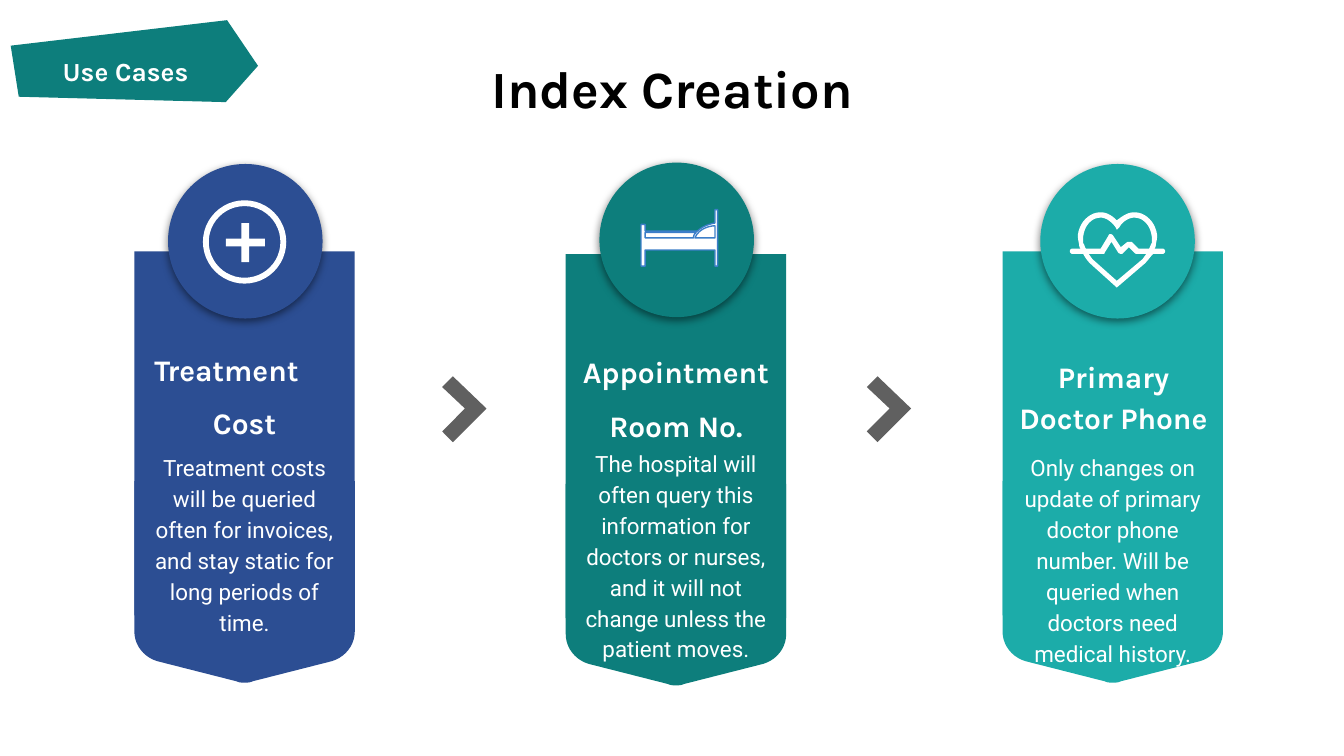
from dataclasses import dataclass

import pptx
import pptx.dml.color
import pptx.enum.shapes
import pptx.enum.text
import pptx.util
from lxml import etree
from pptx.oxml.ns import qn

Inches = pptx.util.Inches
RGBColor = pptx.dml.color.RGBColor
MSO_SHAPE = pptx.enum.shapes.MSO_SHAPE
PP_ALIGN = pptx.enum.text.PP_ALIGN

WHITE = RGBColor(0xFF, 0xFF, 0xFF)
BLACK = RGBColor(0x00, 0x00, 0x00)
NAVY = RGBColor(0x2C, 0x4E, 0x93)
TEAL = RGBColor(0x0D, 0x7E, 0x7C)
AQUA = RGBColor(0x1C, 0xAC, 0xA9)
GREY = RGBColor(0x60, 0x60, 0x60)
BED_LINE = RGBColor(0x3C, 0x7E, 0xC9)

SLIDE_W = 10
SLIDE_H = SLIDE_W * 9 / 16
CARD_W, CARD_H, TAIL_DROP, CIRCLE = 1.64, 2.71, 1.71, 1.15
CURVE_STEPS = 10

Contour = list[tuple[float, ...]]

TAIL: Contour = [
    (0, 0), (0, 1.12), (0, 1.22, 0.07, 1.31, 0.17, 1.34), (0.76, 1.49),
    (0.78, 1.5, 0.8, 1.5, 0.82, 1.5), (0.84, 1.5, 0.86, 1.5, 0.88, 1.49),
    (1.47, 1.34), (1.57, 1.31, 1.64, 1.22, 1.64, 1.12), (1.64, 0),
]
CHEVRON: Contour = [(0.08, 0), (0, 0.08), (0.17, 0.24), (0, 0.41), (0.08, 0.49), (0.33, 0.24)]
BANNER: Contour = [(0, 0.19), (0.06, 0.57), (1.6, 0.61), (1.84, 0.34), (1.61, 0)]
HEART: list[Contour] = [
    [(0.23, 0), (0.14, 0, 0.07, 0.08, 0.06, 0.17), (0.06, 0.18, 0.06, 0.2, 0.07, 0.24),
     (0.07, 0.25, 0.07, 0.26, 0.08, 0.27), (0.02, 0.27), (0.01, 0.27, 0, 0.28, 0, 0.29),
     (0, 0.3, 0.01, 0.31, 0.02, 0.31), (0.1, 0.31), (0.11, 0.33, 0.13, 0.36, 0.15, 0.38),
     (0.35, 0.56), (0.56, 0.38), (0.58, 0.36, 0.6, 0.33, 0.62, 0.31), (0.69, 0.31),
     (0.7, 0.31, 0.71, 0.3, 0.71, 0.29), (0.71, 0.28, 0.7, 0.27, 0.69, 0.27), (0.63, 0.27),
     (0.64, 0.26, 0.64, 0.25, 0.64, 0.24), (0.65, 0.2, 0.65, 0.18, 0.65, 0.17),
     (0.64, 0.08, 0.57, 0, 0.48, 0), (0.43, 0, 0.39, 0.03, 0.35, 0.06),
     (0.32, 0.03, 0.28, 0, 0.23, 0)],
    [(0.48, 0.04), (0.55, 0.04, 0.6, 0.1, 0.61, 0.18), (0.61, 0.18, 0.61, 0.2, 0.61, 0.23),
     (0.6, 0.24, 0.6, 0.26, 0.59, 0.27), (0.51, 0.27), (0.46, 0.22), (0.43, 0.22),
     (0.38, 0.26), (0.32, 0.17), (0.31, 0.16, 0.29, 0.16, 0.29, 0.17), (0.23, 0.27),
     (0.12, 0.27), (0.11, 0.26, 0.11, 0.24, 0.1, 0.23), (0.1, 0.2, 0.1, 0.18, 0.1, 0.18),
     (0.11, 0.1, 0.16, 0.04, 0.23, 0.04), (0.27, 0.04, 0.31, 0.07, 0.34, 0.11),
     (0.35, 0.13), (0.37, 0.11), (0.39, 0.07, 0.44, 0.04, 0.48, 0.04)],
    [(0.31, 0.22), (0.36, 0.3), (0.37, 0.31, 0.38, 0.31, 0.39, 0.31), (0.44, 0.26),
     (0.48, 0.3), (0.49, 0.31, 0.49, 0.31, 0.5, 0.31), (0.57, 0.31),
     (0.56, 0.32, 0.55, 0.34, 0.54, 0.35), (0.35, 0.51), (0.17, 0.35),
     (0.16, 0.34, 0.15, 0.32, 0.14, 0.31), (0.25, 0.31), (0.25, 0.31, 0.26, 0.31, 0.26, 0.3)],
]
BED_PARTS: list[Contour] = [
    [(0.57, 0), (0.57, 0.42), (0.55, 0.42), (0.55, 0.3), (0.03, 0.3), (0.03, 0.42),
     (0, 0.42), (0, 0.11), (0.03, 0.11), (0.03, 0.16), (0.42, 0.16),
     (0.47, 0.11, 0.55, 0.1, 0.55, 0.1), (0.55, 0)],
    [(0.41, 0.17), (0.4, 0.18, 0.39, 0.19, 0.39, 0.21), (0.03, 0.21), (0.03, 0.17)],
    [(0.55, 0.12), (0.55, 0.21), (0.4, 0.21), (0.44, 0.12, 0.55, 0.12, 0.55, 0.12)],
]


@dataclass
class Label:
    text: str
    x: float
    y: float
    w: float
    h: float
    size: float
    font: str = "Karla"
    bold: bool = True
    spacing: float = 1.15


@dataclass
class Card:
    x: float
    y: float
    circle_x: float
    circle_y: float
    color: RGBColor
    heading: Label
    body: Label


def body_label(text: str, x: float, y: float, h: float) -> Label:
    return Label(text, x, y, CARD_W, h, 12, "Roboto", False)


CARDS = [
    Card(1, 1.87, 1.25, 1.22, NAVY,
         Label("Treatment\nCost", 1, 2.38, CARD_W, 0.42, 16, spacing=1.5),
         body_label("Treatment costs will be queried often for invoices, "
                    "and stay static for long periods of time.", 1, 3.25, 1.48)),
    Card(4.21, 1.89, 4.46, 1.21, TEAL,
         Label("Appointment Room No.", 4.21, 2.4, CARD_W, 0.42, 16, spacing=1.5),
         body_label("The hospital will often query this information for doctors or nurses, "
                    "and it will not change unless the patient moves.", 4.21, 3.22, 1.56)),
    Card(7.46, 1.87, 7.74, 1.22, AQUA,
         Label("Primary Doctor Phone", 7.42, 2.53, 1.73, 0.42, 16),
         body_label("Only changes on update of primary doctor phone number. "
                    "Will be queried when doctors need medical history.", 7.46, 3.25, 0.68)),
]


def paint(sp, fill: RGBColor) -> None:
    sp.shadow.inherit = False
    sp.fill.solid()
    sp.fill.fore_color.rgb = fill
    sp.line.fill.background()


def add_preset(s, kind, x: float, y: float, w: float, h: float, fill: RGBColor):
    sp = s.shapes.add_shape(kind, Inches(x), Inches(y), Inches(w), Inches(h))
    paint(sp, fill)
    return sp


def flatten(contour: Contour) -> list[tuple[float, float]]:
    points = [contour[0]]
    for step in contour[1:]:
        if len(step) == 2:
            points.append(step)
            continue
        curve = (points[-1], step[:2], step[2:4], step[4:])
        for i in range(1, CURVE_STEPS + 1):
            t = i / CURVE_STEPS
            weights = ((1 - t) ** 3, 3 * t * (1 - t) ** 2, 3 * t * t * (1 - t), t ** 3)
            points.append(tuple(sum(k * c[axis] for k, c in zip(weights, curve))
                                for axis in (0, 1)))
    return points


def add_outline(s, contours: list[Contour], x: float, y: float, fill: RGBColor):
    outlines = [[(Inches(x + px), Inches(y + py)) for px, py in flatten(c)] for c in contours]
    builder = s.shapes.build_freeform(*outlines[0][0])
    builder.add_line_segments(outlines[0][1:], close=True)
    for points in outlines[1:]:
        builder.move_to(*points[0])
        builder.add_line_segments(points[1:], close=True)
    sp = builder.convert_to_shape()
    paint(sp, fill)
    return sp


def add_soft_shadow(sp) -> None:
    effects = sp._element.spPr.find(qn("a:effectLst"))
    shadow = etree.SubElement(effects, qn("a:outerShdw"), blurRad="57150", dist="19050",
                              dir="5400000", algn="bl", rotWithShape="0")
    color = etree.SubElement(shadow, qn("a:srgbClr"), val="000000")
    etree.SubElement(color, qn("a:alpha"), val="50000")


def write_label(sp, label: Label, color: RGBColor) -> None:
    sp.left, sp.top, sp.width, sp.height = map(Inches, (label.x, label.y, label.w, label.h))
    tf = sp.text_frame
    tf.word_wrap = True
    tf.auto_size = pptx.enum.text.MSO_AUTO_SIZE.NONE
    tf.vertical_anchor = pptx.enum.text.MSO_ANCHOR.TOP
    tf.margin_left = tf.margin_right = tf.margin_top = tf.margin_bottom = Inches(0.1)
    tf.text = label.text
    for p in tf.paragraphs:
        p.alignment = PP_ALIGN.CENTER
        p.line_spacing = label.spacing
        for r in p.runs:
            r.font.name = label.font
            r.font.size = pptx.util.Pt(label.size)
            r.font.bold = label.bold
            r.font.color.rgb = color


def add_label(s, label: Label):
    sp = s.shapes.add_textbox(0, 0, 0, 0)
    write_label(sp, label, WHITE)
    return sp


def add_card(s, card: Card):
    add_preset(s, MSO_SHAPE.RECTANGLE, card.x, card.y, CARD_W, CARD_H, card.color)
    circle = add_preset(s, MSO_SHAPE.OVAL, card.circle_x, card.circle_y, CIRCLE, CIRCLE, card.color)
    add_soft_shadow(circle)
    add_outline(s, [TAIL], card.x, card.y + TAIL_DROP, card.color)
    heading = add_label(s, card.heading)
    add_label(s, card.body)
    return heading


def main() -> None:
    prs = pptx.Presentation()
    prs.slide_width, prs.slide_height = Inches(SLIDE_W), Inches(SLIDE_H)
    s = prs.slides.add_slide(prs.slide_layouts[5])
    write_label(s.shapes.title, Label("Index Creation", 0.34, 0.32, 9.32, 0.63, 28, spacing=1.0), BLACK)
    headings = [add_card(s, card) for card in CARDS]
    p = headings[0].text_frame.paragraphs[0]
    p.alignment = PP_ALIGN.LEFT
    p._p.get_or_add_pPr().set("marL", str(Inches(0.05)))
    for x in (3.29, 6.45):
        add_outline(s, [CHEVRON], x, 2.8, GREY)
    ring = add_preset(s, MSO_SHAPE.DONUT, 1.51, 1.49, 0.62, 0.62, WHITE)
    ring.adjustments[0] = 0.07
    plus = add_preset(s, MSO_SHAPE.CROSS, 1.68, 1.66, 0.29, 0.29, WHITE)
    plus.adjustments[0] = 0.4
    for part in BED_PARTS:
        sp = add_outline(s, [part], 4.77, 1.56, WHITE)
        sp.line.color.rgb = BED_LINE
        sp.line.width = pptx.util.Pt(0.75)
    add_outline(s, HEART, 7.96, 1.58, WHITE)
    add_outline(s, [BANNER], 0.08, 0.15, TEAL)
    add_label(s, Label("Use Cases", 0.22, 0.28, 1.43, 0.42, 14))
    prs.save("out.pptx")


if __name__ == "__main__":
    main()
